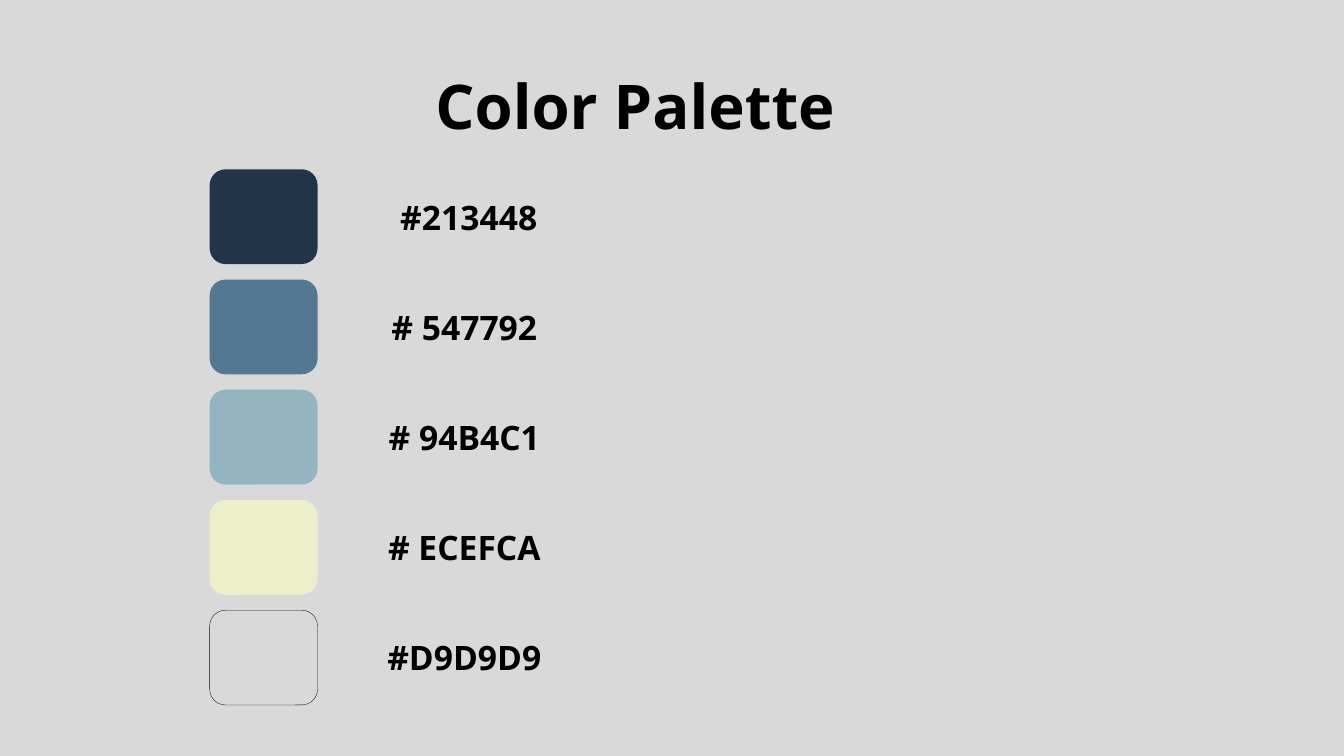
import pptx
import pptx.dml.color
import pptx.enum.shapes
import pptx.enum.text
import pptx.util

COLORS = {
    "background": "D9D9D9",
    "text": "000000",
    "outline": "0D0D0D",
    "navy": "213448",
    "steel": "547792",
    "mist": "94B4C1",
    "cream": "ECEFCA",
    "gray": "D9D9D9",
}
PALETTE = [
    ("navy", " #213448"),
    ("steel", "# 547792"),
    ("mist", "# 94B4C1"),
    ("cream", "# ECEFCA"),
    ("gray", "#D9D9D9"),
]
WIDTH, HEIGHT = 13.33, 7.5

# Palette grid, in inches
FIRST_ROW, ROW_PITCH = 1.68, 1.0935
SWATCH_LEFT, SWATCH_WIDTH, SWATCH_HEIGHT = 2.08, 1.07, 0.94
CODE_LEFT, CODE_WIDTH, CODE_HEIGHT = 3.63, 1.95, 0.5


def rgb(name):
    return pptx.dml.color.RGBColor.from_string(COLORS[name])


def write(frame, text, size=24, bold=True, font="Noto Sans", color="text",
          line_spacing=None, space_before=None):
    frame.word_wrap = True
    paragraph = frame.paragraphs[0]
    paragraph.alignment = pptx.enum.text.PP_ALIGN.CENTER
    if line_spacing:
        paragraph.line_spacing = line_spacing
    if space_before:
        paragraph.space_before = pptx.util.Pt(space_before)
    run = paragraph.add_run()
    run.text = text
    run.font.size = pptx.util.Pt(size)
    run.font.bold = bold
    run.font.name = font
    run.font.color.rgb = rgb(color)


class PaletteSlide:
    def __init__(self, deck):
        self.slide = deck.slides.add_slide(deck.slide_layouts[6])
        self.slide.background.fill.solid()
        self.slide.background.fill.fore_color.rgb = rgb("background")

    def box(self, *lengths):
        return [pptx.util.Inches(length) for length in lengths]

    def label(self, text, left, top, width, height, **style):
        label = self.slide.shapes.add_textbox(*self.box(left, top, width, height))
        write(label.text_frame, text, **style)

    def swatch(self, row, color):
        swatch = self.slide.shapes.add_shape(
            pptx.enum.shapes.MSO_SHAPE.ROUNDED_RECTANGLE,
            *self.box(SWATCH_LEFT, FIRST_ROW + row * ROW_PITCH,
                      SWATCH_WIDTH, SWATCH_HEIGHT))
        swatch.shadow.inherit = False
        swatch.fill.solid()
        swatch.fill.fore_color.rgb = rgb(color)
        # Only the swatch that matches the background needs an outline
        if COLORS[color] == COLORS["background"]:
            swatch.line.color.rgb = rgb("outline")
            swatch.line.width = pptx.util.Pt(0.25)
        else:
            swatch.line.fill.background()

    def code(self, row, text):
        top = FIRST_ROW + row * ROW_PITCH + (SWATCH_HEIGHT - CODE_HEIGHT) / 2
        self.label(text, CODE_LEFT, top, CODE_WIDTH, CODE_HEIGHT)


def main():
    deck = pptx.Presentation()
    deck.slide_width = pptx.util.Inches(WIDTH)
    deck.slide_height = pptx.util.Inches(HEIGHT)
    palette = PaletteSlide(deck)

    # Title
    palette.label("Color Palette ", 0.63, 0.71, 11.5, 6.49,
                  size=44, line_spacing=0.9, space_before=10)

    # Swatches, then their codes
    for row, (color, _) in enumerate(PALETTE):
        palette.swatch(row, color)
    for row, (_, text) in enumerate(PALETTE):
        palette.code(row, text)

    deck.save("out.pptx")


if __name__ == "__main__":
    main()
